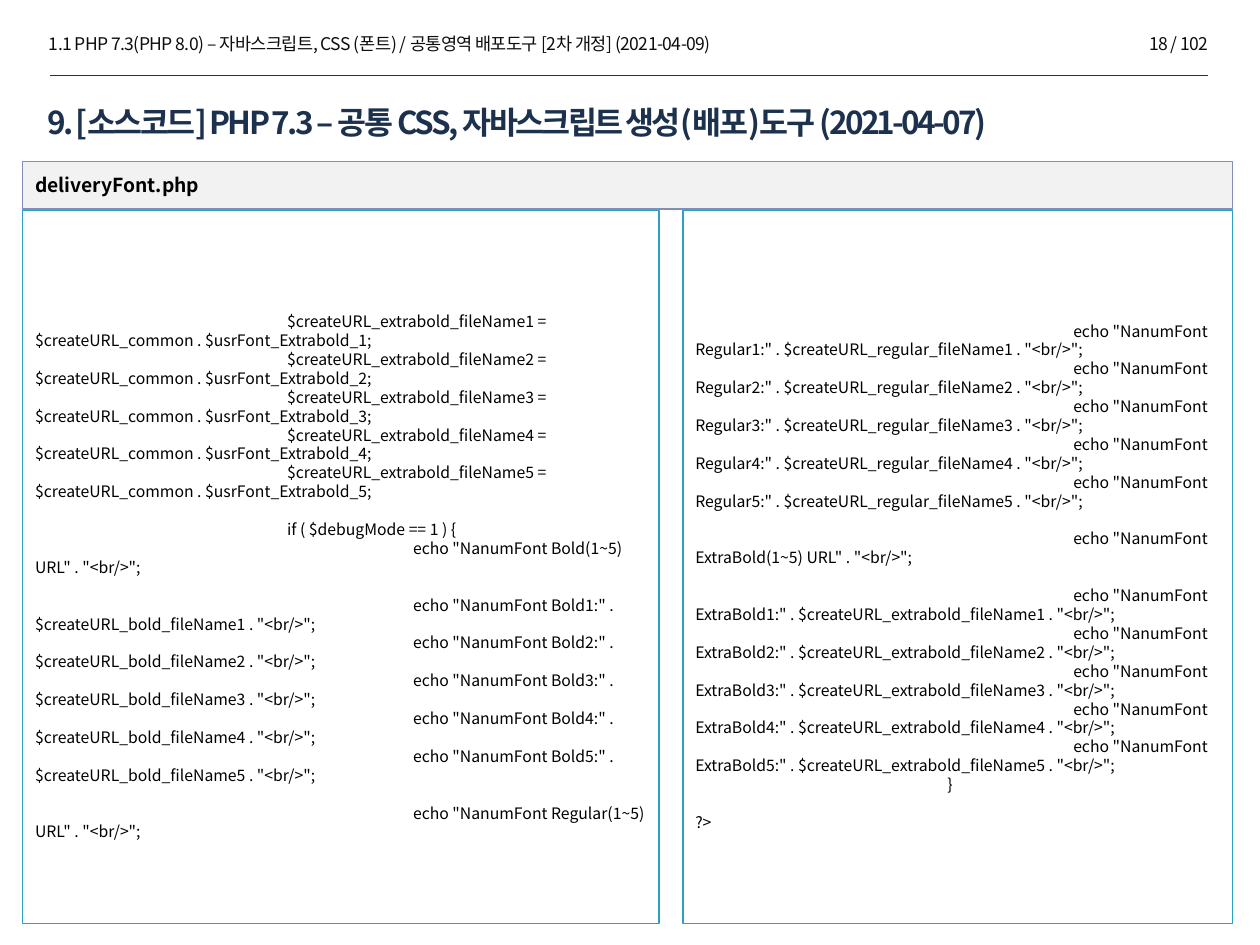
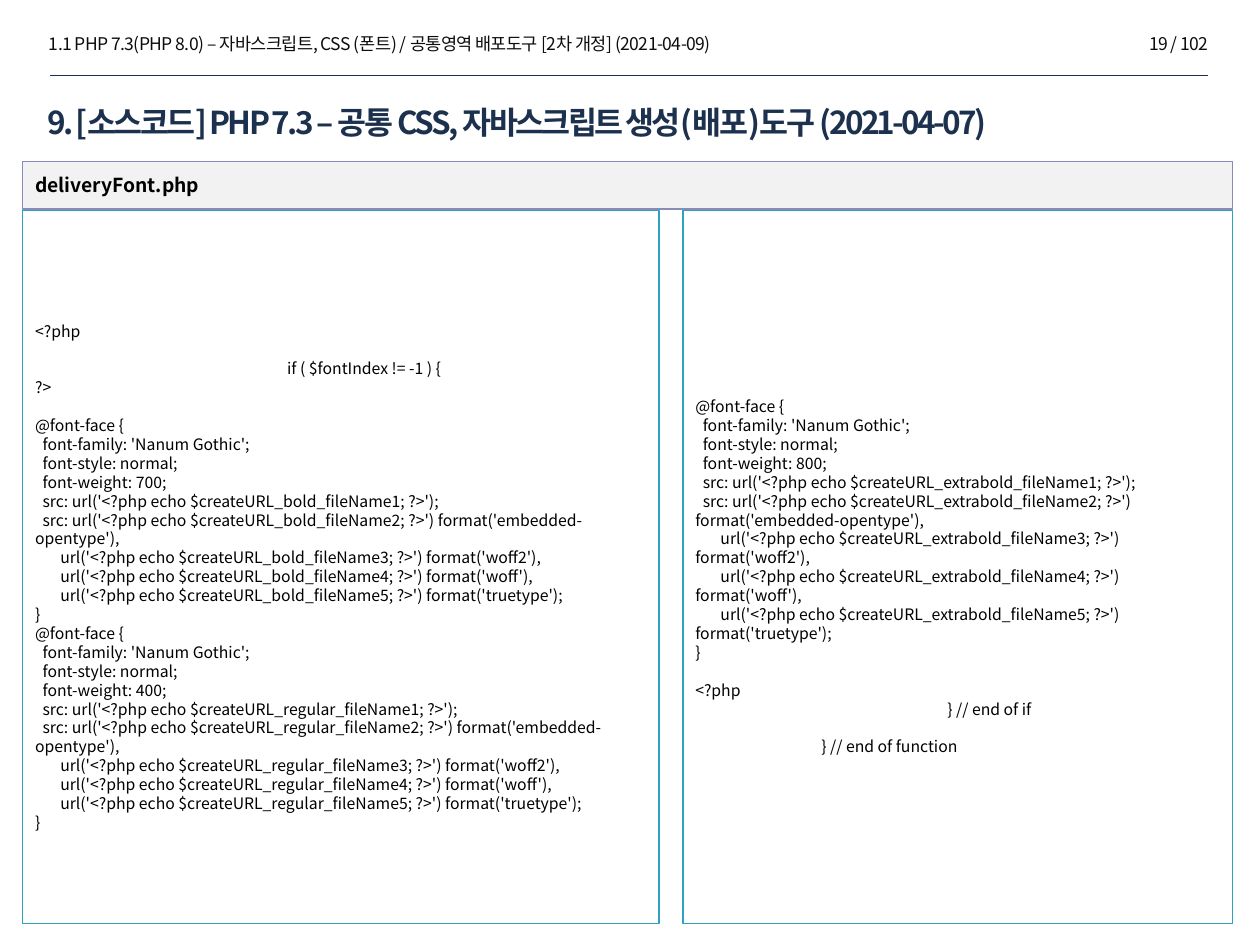
from lxml.etree import SubElement
from pptx import Presentation
from pptx.dml.color import RGBColor
from pptx.enum.shapes import MSO_CONNECTOR as Connector, MSO_SHAPE as Preset
from pptx.enum.text import MSO_ANCHOR as Anchor, MSO_AUTO_SIZE as AutoSize, PP_ALIGN as Align
from pptx.oxml.ns import qn
from pptx.util import Inches, Pt

FONT = "Noto Sans CJK KR"
COLORS = {"white": "FFFFFF", "black": "000000", "running": "0D0D0D", "title": "1C314E",
          "bar": "F2F2F2", "bar_line": "878BB8", "panel_line": "2DA2BF"}
RUNNING_TITLE = "1.1 PHP 7.3(PHP 8.0) – 자바스크립트, CSS (폰트) / 공통영역 배포도구 [2차 개정] (2021-04-09)"
TITLE = "9. [소스코드] PHP 7.3 – 공통 CSS, 자바스크립트 생성(배포)도구 (2021-04-07)"
FILE_NAME = "deliveryFont.php"
TOTAL_PAGES = 102

LINE_HEIGHT = 1.2
CODE_SIZE = 9
CODE_LINE = CODE_SIZE * LINE_HEIGHT
TAB = 1
PROPERTY, SOURCE = 0.06, 0.2
LEFT, WIDTH, GAP = 0.18, 9.6, 0.19
BAR_TOP, BAR_HEIGHT = 1.28, 0.38
PANEL_TOP, PANEL_HEIGHT = 1.67, 5.66
LEFT_PANEL_WIDTH = 5.05
PANELS = [(LEFT, LEFT_PANEL_WIDTH),
          (LEFT + LEFT_PANEL_WIDTH + GAP, WIDTH - LEFT_PANEL_WIDTH - GAP)]
FILES = range(1, 6)


def echo_heading(label):
    return [(3 * TAB, f'echo "NanumFont {label}(1~5) URL" . "<br/>";')]


def echo_files(label):
    return [(3 * TAB, f'echo "NanumFont {label}{n}:" . $createURL_{label.lower()}_fileName{n} . "<br/>";')
            for n in FILES]


def font_face(name, weight):
    def url(n):
        return f"url('<?php echo $createURL_{name}_fileName{n}; ?>')"
    return [(0, "@font-face {"),
            (PROPERTY, "font-family: 'Nanum Gothic';"),
            (PROPERTY, "font-style: normal;"),
            (PROPERTY, f"font-weight: {weight};"),
            (PROPERTY, f"src: {url(1)};"),
            (PROPERTY, f"src: {url(2)} format('embedded-opentype'),"),
            (SOURCE, f"{url(3)} format('woff2'),"),
            (SOURCE, f"{url(4)} format('woff'),"),
            (SOURCE, f"{url(5)} format('truetype');"),
            (0, "}")]


PAGES = {
    18: [
        [[(2 * TAB, f"$createURL_extrabold_fileName{n} = $createURL_common . $usrFont_Extrabold_{n};")
          for n in FILES],
         [(2 * TAB, "if ( $debugMode == 1 ) {")] + echo_heading("Bold"),
         echo_files("Bold"),
         echo_heading("Regular")],
        [echo_files("Regular"),
         echo_heading("ExtraBold"),
         echo_files("ExtraBold") + [(2 * TAB, "}")],
         [(0, "?>")]],
    ],
    19: [
        [[(0, "<?php")],
         [(2 * TAB, "if ( $fontIndex != -1 ) {"), (0, "?>")],
         font_face("bold", 700) + font_face("regular", 400)],
        [font_face("extrabold", 800),
         [(0, "<?php"), (2 * TAB, "} // end of if")],
         [(TAB, "} // end of function")]],
    ],
}


def color(name):
    return RGBColor.from_string(COLORS[name])


def format_paragraph(paragraph, size, color_name, bold=False, tracking=0, align=Align.LEFT):
    paragraph.alignment = align
    paragraph.line_spacing = Pt(size * LINE_HEIGHT)
    for run in paragraph.runs:
        font = run.font
        font.name, font.size, font.bold = FONT, Pt(size), bold
        font.color.rgb = color(color_name)
        properties = font._element
        SubElement(properties, qn("a:ea")).set("typeface", FONT)
        if tracking:
            properties.set("spc", str(round(tracking * 100)))


def add_text(slide, box, text, size, color_name, grow=False, **style):
    text_frame = slide.shapes.add_textbox(*map(Inches, box)).text_frame
    text_frame.word_wrap = True
    text_frame.auto_size = AutoSize.SHAPE_TO_FIT_TEXT if grow else AutoSize.NONE
    text_frame.text = text
    format_paragraph(text_frame.paragraphs[0], size, color_name, **style)


def add_box(slide, box, fill, line):
    shape = slide.shapes.add_shape(Preset.RECTANGLE, *map(Inches, box))
    shape.shadow.inherit = False
    shape.fill.solid()
    shape.fill.fore_color.rgb = color(fill)
    shape.line.color.rgb = color(line)
    shape.line.width = Pt(0.75)
    shape.text_frame.word_wrap = True
    shape.text_frame.vertical_anchor = Anchor.MIDDLE
    return shape.text_frame


def add_code(slide, left, width, blocks):
    text_frame = add_box(slide, (left, PANEL_TOP, width, PANEL_HEIGHT), "white", "panel_line")
    text_frame.margin_top = Inches(0.05) + Pt(CODE_LINE)
    lines = [(indent, text, block > 0 and row == 0)
             for block, rows in enumerate(blocks) for row, (indent, text) in enumerate(rows)]
    text_frame.text = "\n".join(text for _, text, _ in lines)
    for paragraph, (indent, _, starts_block) in zip(text_frame.paragraphs, lines):
        format_paragraph(paragraph, CODE_SIZE, "black")
        paragraph.space_before = Pt(CODE_LINE if starts_block else 0)
        properties = paragraph._p.get_or_add_pPr()
        properties.set("marL", "0")
        properties.set("indent", str(Inches(indent)))


def add_page(presentation, number, panels):
    slide = presentation.slides.add_slide(presentation.slide_layouts[6])
    add_text(slide, (0.29, 0.21, 8.68, 0.27), RUNNING_TITLE, 10, "running", grow=True, tracking=-0.3)
    rule = slide.shapes.add_connector(Connector.STRAIGHT, *map(Inches, (0.4, 0.6, 9.59, 0.6)))
    rule.line.color.rgb = color("title")
    rule.line.width = Pt(0.25)
    SubElement(rule._element.spPr, qn("a:effectLst"))
    add_text(slide, (0.28, 0.77, 9.31, 0.64), TITLE, 18, "title", bold=True, tracking=-1.5)
    add_text(slide, (7.96, 0.21, 1.73, 0.27), f"{number} / {TOTAL_PAGES}", 10, "running",
             grow=True, tracking=-0.3, align=Align.RIGHT)
    for (left, width), blocks in zip(PANELS, panels):
        add_code(slide, left, width, blocks)
    bar = add_box(slide, (LEFT, BAR_TOP, WIDTH, BAR_HEIGHT), "bar", "bar_line")
    bar.text = FILE_NAME
    format_paragraph(bar.paragraphs[0], 11, "black", bold=True)


def main():
    """Build the source code pages and save the presentation."""
    presentation = Presentation()
    presentation.slide_width, presentation.slide_height = Inches(10), Inches(7.5)
    for number, panels in PAGES.items():
        add_page(presentation, number, panels)
    presentation.save("out.pptx")


if __name__ == "__main__":
    main()
